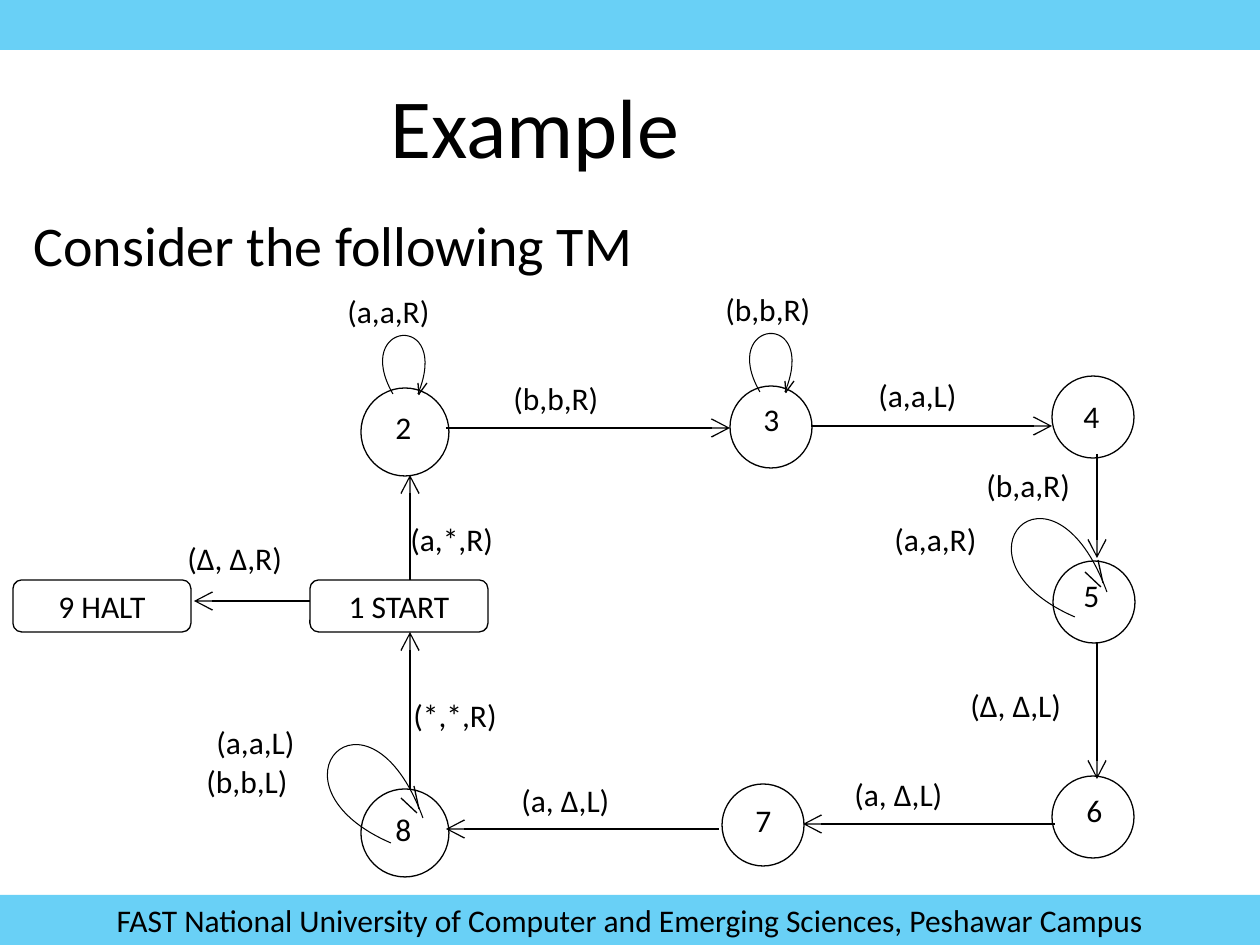
from lxml.etree import SubElement as Sub
from pptx import Presentation
from pptx.dml.color import RGBColor
from pptx.enum.shapes import MSO_CONNECTOR as Conn, MSO_SHAPE as Kind
from pptx.enum.text import MSO_ANCHOR as Anchor, PP_ALIGN as Align
from pptx.oxml.ns import qn
from pptx.util import Emu, Pt

# Content, lengths in px
HEX = {"bar": "00B0F0", "ink": "000000", "paper": "FFFFFF"}
FONT = "Calibri"
WIDE, HIGH, BAR = 1260, 945, 50
TITLE = ("Example", 48, (378, 68, 662, 113))
BODY = ("Consider the following TM", 32, (21, 204, 1071, 81))
FOOT = "FAST National University of Computer and Emerging Sciences, Peshawar Campus"

# state: left, top, diameter, then left and top of its number
STATES = {
    "2": (361, 388, 88, 383, 402),
    "3": (730, 386, 82, 751, 394),
    "4": (1052, 376, 82, 1071, 391),
    "5": (1053, 561, 82, 1071, 570),
    "6": (1052, 776, 82, 1074, 785),
    "7": (722, 784, 82, 743, 795),
    "8": (361, 789, 88, 383, 804),
}
BOXES = {"1 START": (310, 580), "9 HALT": (13, 580)}
ARROWS = [
    (310, 601, 194, 601), (410, 580, 410, 475), (410, 790, 410, 632),
    (719, 829, 446, 829), (1055, 824, 803, 824), (1097, 643, 1097, 779),
    (446, 428, 730, 428), (811, 426, 1052, 426), (1097, 454, 1097, 558),
]
LABELS = [
    ("(∆, ∆,R)", 175, 533), ("(a,*,R)", 398, 514), ("(*,*,R)", 401, 690),
    ("(a,a,L)", 204, 717), ("(b,b,L)", 194, 756), ("(a, ∆,L)", 509, 775),
    ("(a, ∆,L)", 842, 769), ("(∆, ∆,L)", 958, 680), ("(a,a,R)", 882, 514),
    ("(b,a,R)", 974, 460), ("(a,a,L)", 866, 370), ("(b,b,R)", 713, 284),
    ("(b,b,R)", 501, 373), ("(a,a,R)", 335, 286),
]
# loop form: curve points and barbs, measured from the start of the loop
SMALL = ([(-42, -73), (59, -83), (25, 0)],
         [(26, 0, 34, -11), (25, -11, 26, 1)])
LARGE = ([(-134, -58), (-23, -175), (32, -25)],
         [(28, -34, 23, -57), (10, -45, 26, -30)])
LOOPS = [(SMALL, 760, 392), (SMALL, 393, 394),
         (LARGE, 391, 843), (LARGE, 1075, 617)]

SCALE = 9144000 / WIDE


def px(*vals):
    return [Emu(round(v * SCALE)) for v in vals]


def ink(name):
    return RGBColor.from_string(HEX[name])


def write(shape, text, size=18, align=Align.LEFT, anchor=Anchor.TOP, wrap=True):
    frame = shape.text_frame
    frame.word_wrap = wrap
    frame.vertical_anchor = anchor
    frame.text = text
    par = frame.paragraphs[0]
    par.alignment = align
    par.space_before = Pt(0)
    font = par.runs[0].font
    font.size, font.name = Pt(size), FONT
    font.color.rgb = ink("ink")


def stroke(shape, width=0.75):
    shape.line.color.rgb = ink("ink")
    shape.line.width = Pt(width)


def add(kind, box, fill=None):
    shape = shapes.add_shape(kind, *px(*box))
    shape.shadow.inherit = False
    if fill:
        shape.fill.solid()
        shape.fill.fore_color.rgb = ink(fill)
    else:
        shape.fill.background()
    return shape


def bar(top):
    shape = add(Kind.RECTANGLE, (0, top, WIDE, BAR), "bar")
    shape.line.fill.background()
    tint = shape.fill._xPr.find(".//" + qn("a:srgbClr"))
    Sub(tint, qn("a:alpha"), val="59000")
    return shape


def line(x1, y1, x2, y2, head=False):
    link = shapes.add_connector(Conn.STRAIGHT, *px(x1, y1, x2, y2))
    stroke(link)
    if head:
        Sub(link.line._get_or_add_ln(), qn("a:tailEnd"),
            type="arrow", w="lg", len="lg")
    Sub(link._element.spPr, qn("a:effectLst"))


def label(text, *box):
    write(shapes.add_textbox(*px(*box)), text)


def loop(form, x, y):
    curve, barbs = form
    pen = shapes.build_freeform(x, y, scale=SCALE)
    pen.add_line_segments([(x + a, y + b) for a, b in curve], close=False)
    shape = pen.convert_to_shape()
    shape.shadow.inherit = False
    shape.fill.background()
    stroke(shape, 0.6)
    # one cubic curve through the three points
    track = shape._element.find(".//" + qn("a:path"))
    bend = Sub(track, qn("a:cubicBezTo"))
    for seg in track.findall(qn("a:lnTo")):
        bend.append(seg[0])
        track.remove(seg)
    for a, b, c, d in barbs:
        line(x + a, y + b, x + c, y + d)


deck = Presentation()
deck.slide_width, deck.slide_height = px(WIDE, HIGH)
slide = deck.slides.add_slide(deck.slide_layouts[1])
shapes = slide.shapes

# Bars
bar(0)
write(bar(HIGH - BAR), FOOT, align=Align.CENTER, anchor=Anchor.MIDDLE)

# Title and body
for hold, (text, size, box) in zip(slide.placeholders, (TITLE, BODY)):
    hold.left, hold.top, hold.width, hold.height = px(*box)
    write(hold, text, size)
props = slide.placeholders[1].text_frame.paragraphs[0]._p.get_or_add_pPr()
props.set("marL", "0")
props.set("indent", "0")
Sub(props, qn("a:buNone"))

# States, loops and boxes
for x, y, size, *_ in STATES.values():
    stroke(add(Kind.OVAL, (x, y, size, size), "paper"))
for item in LOOPS:
    loop(*item)
for text, (x, y) in BOXES.items():
    shape = add(Kind.ROUNDED_RECTANGLE, (x, y, 178, 52))
    stroke(shape)
    write(shape, text, align=Align.CENTER, anchor=Anchor.MIDDLE, wrap=False)

# Arrows and their labels
for ends in ARROWS:
    line(*ends, head=True)
for text, x, y in LABELS:
    label(text, x, y, 215, 57)
for text, (*_, x, y) in STATES.items():
    label(text, x, y, 63, 50)

deck.save("out.pptx")
